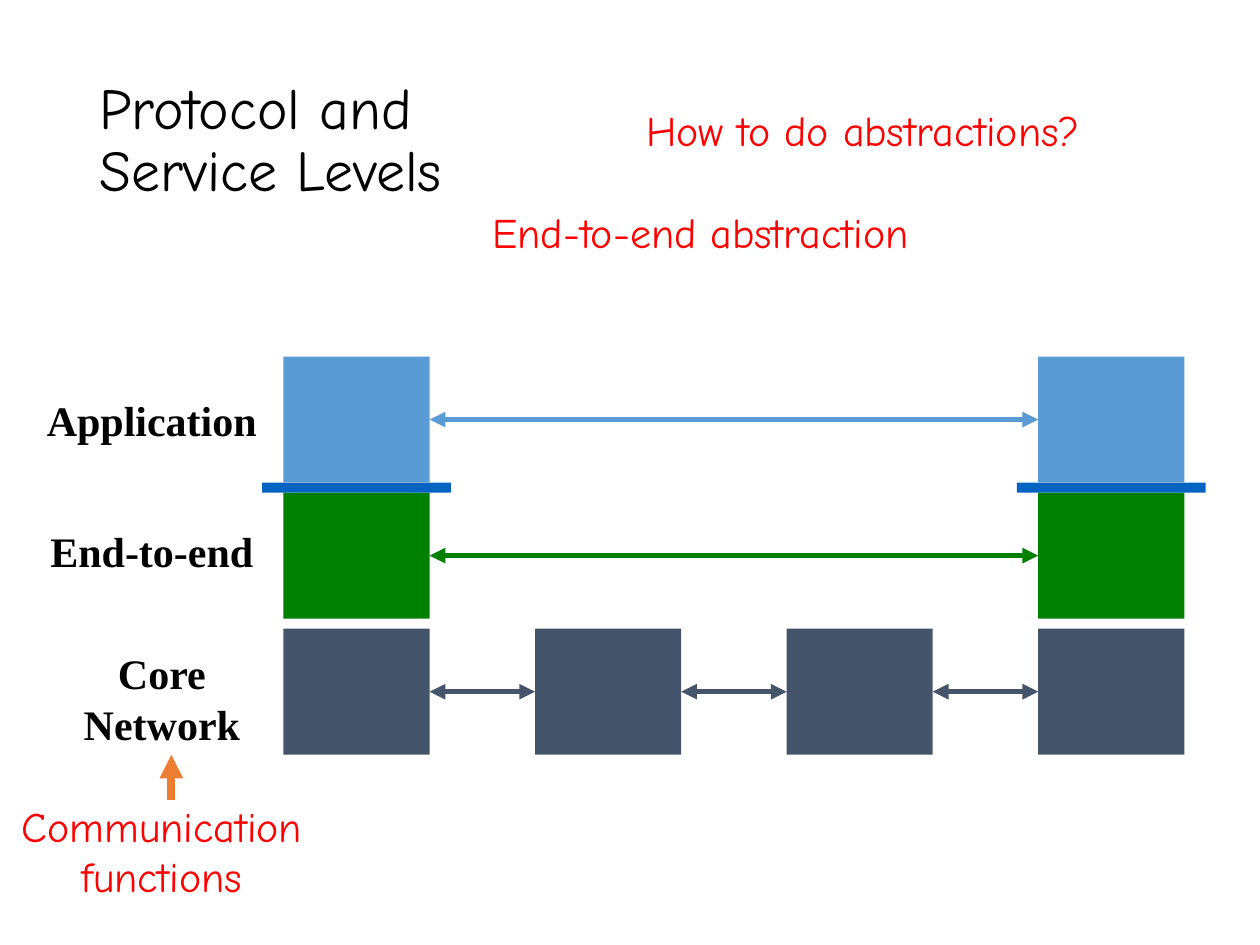
from typing import NamedTuple

from lxml import etree
from pptx import Presentation
from pptx import util as u
from pptx.dml.color import RGBColor
from pptx.enum import shapes, text
from pptx.oxml.ns import qn

SANS, SERIF = "Comic Neue", "Times New Roman"
BLACK, RED, ORANGE, BAR_BLUE = "000000", "FF0000", "ED7D31", "0563C1"
LEFT, RIGHT = 2.25, 8.24
PITCH = (RIGHT - LEFT) / 3
NODE_WIDTH, NODE_HEIGHT = 1.16, 1.0
LINE_HEIGHT = 29  # points

LABEL = {"name": SERIF, "size": u.Pt(24), "bold": True}
NOTE = {"name": SANS, "size": u.Pt(24), "bold": False}
TITLE = {"name": SANS, "size": u.Pt(33), "bold": False}


class Layer(NamedTuple):
    top: float
    color: str
    columns: tuple[int, ...]


class Line(NamedTuple):
    content: str
    font: dict
    color: str
    before: int = 0
    indent: float = 0


class Block(NamedTuple):
    left: float
    top: float
    width: float
    height: float
    lines: list[Line]
    align: text.PP_ALIGN = text.PP_ALIGN.CENTER
    wrap: bool = False


LAYERS = [
    Layer(2.83, "5B9BD5", (0, 3)),
    Layer(3.91, "008000", (0, 3)),
    Layer(4.99, "44546A", (0, 1, 2, 3)),
]
BLOCKS = [
    Block(0.27, 3.08, 1.87, 0.5, [Line("Application", LABEL, BLACK)]),
    Block(0.3, 4.12, 1.81, 0.5, [Line("End-to-end", LABEL, BLACK)]),
    Block(0.07, 5.09, 2.43, 2.1, [
        Line("Core", LABEL, BLACK),
        Line("Network", LABEL, BLACK),
        Line("Communication", NOTE, RED, before=LINE_HEIGHT),
        Line("functions", NOTE, RED),
    ]),
    Block(3.81, 0.78, 5.11, 1.3, [
        Line("How to do abstractions?", NOTE, RED, indent=1.22),
        Line("End-to-end abstraction", NOTE, RED, before=LINE_HEIGHT),
    ], text.PP_ALIGN.LEFT, True),
]


def rgb(color: str) -> RGBColor:
    return RGBColor.from_string(color)


def format_font(font, values: dict, color: str) -> None:
    for name, value in values.items():
        setattr(font, name, value)
    font.color.rgb = rgb(color)


def add_bar(page, left: float, top: float, width: float, height: float, color: str) -> None:
    bar = page.shapes.add_shape(
        shapes.MSO_SHAPE.RECTANGLE, *map(u.Inches, (left, top, width, height)))
    bar.shadow.inherit = False
    bar.fill.solid()
    bar.fill.fore_color.rgb = rgb(color)
    bar.line.fill.background()


def add_arrow(page, start: tuple, end: tuple, color: str, width: float,
              ends: tuple[str, ...] = ("headEnd", "tailEnd")) -> None:
    arrow = page.shapes.add_connector(
        shapes.MSO_CONNECTOR.STRAIGHT, *map(u.Inches, start + end))
    arrow.line.color.rgb = rgb(color)
    arrow.line.width = u.Pt(width)
    outline = arrow.line._get_or_add_ln()
    for name in ends:
        etree.SubElement(outline, qn(f"a:{name}"), type="triangle")
    etree.SubElement(arrow._element.spPr, qn("a:effectLst"))


def add_layer(page, layer: Layer) -> None:
    lefts = [LEFT + column * PITCH for column in layer.columns]
    middle = layer.top + NODE_HEIGHT / 2
    for left in lefts:
        add_bar(page, left, layer.top, NODE_WIDTH, NODE_HEIGHT, layer.color)
    for left, following in zip(lefts, lefts[1:]):
        add_arrow(page, (left + NODE_WIDTH, middle), (following, middle), layer.color, 3)


def add_block(page, block: Block) -> None:
    box = page.shapes.add_textbox(*map(u.Inches, block[:4]))
    frame = box.text_frame
    frame.word_wrap = block.wrap
    for index, line in enumerate(block.lines):
        para = frame.add_paragraph() if index else frame.paragraphs[0]
        para.alignment = block.align
        para.line_spacing = u.Pt(LINE_HEIGHT)
        if line.before:
            para.space_before = u.Pt(line.before)
        if line.indent:
            para._p.get_or_add_pPr().set("indent", str(u.Inches(line.indent)))
        span = para.add_run()
        span.text = line.content
        format_font(span.font, line.font, line.color)


def add_title(page, content: str) -> None:
    title = page.shapes.title
    place = {"left": 0.69, "top": 0.4, "width": 8.63, "height": 1.45}
    for name, value in place.items():
        setattr(title, name, u.Inches(value))
    frame = title.text_frame
    frame.text = content
    frame.vertical_anchor = text.MSO_ANCHOR.MIDDLE
    para = frame.paragraphs[0]
    para.alignment = text.PP_ALIGN.LEFT
    para.line_spacing = 0.9
    for span in para.runs:
        format_font(span.font, TITLE, BLACK)


def main() -> None:
    deck = Presentation()
    deck.slide_width, deck.slide_height = u.Inches(10), u.Inches(7.5)
    page = deck.slides.add_slide(deck.slide_layouts[5])
    add_title(page, "Protocol and\vService Levels")

    # Protocol layers with their peer-to-peer arrows
    for layer in LAYERS:
        add_layer(page, layer)

    # Service boundary below the application layer
    for left in (LEFT, RIGHT):
        add_bar(page, left - 0.17, 3.83, 1.5, 0.08, BAR_BLUE)

    # Labels and remarks
    for block in BLOCKS:
        add_block(page, block)
    add_arrow(page, (1.36, 6.35), (1.36, 5.99), ORANGE, 4.5, ("tailEnd",))

    deck.save("out.pptx")


if __name__ == "__main__":
    main()
